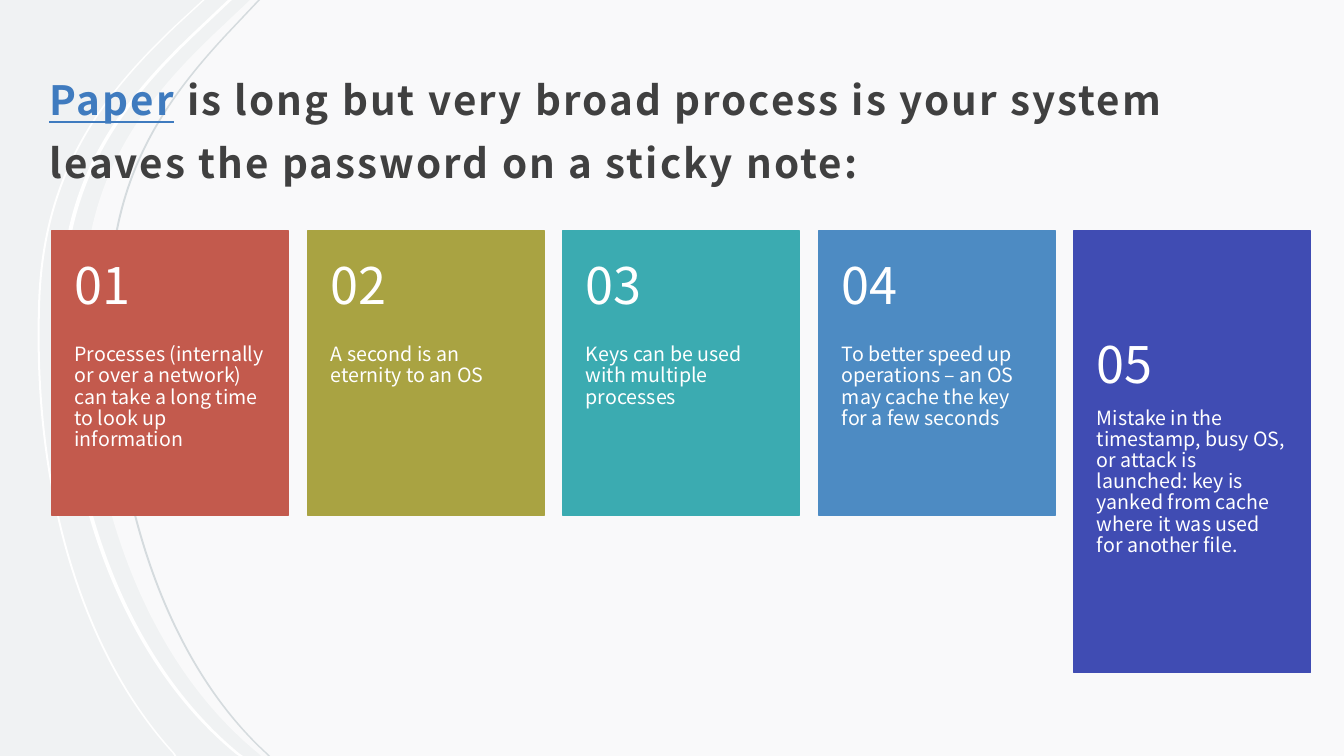
from lxml import etree
from pptx import Presentation, util as u
from pptx.dml import color
from pptx.enum import shapes, text
from pptx.oxml import ns

FONT = "Noto Sans CJK JP"
WIDE, HIGH = 1333, 750
CARDS = [
    ("C35A4D", 282, 0, "Processes (internally or over a network) can take a long time to look up information"),
    ("A9A342", 282, 0, "A second is an eternity to an OS"),
    ("3BABB1", 282, 0, "Keys can be used with multiple processes"),
    ("4D8BC3", 282, 0, "To better speed up operations – an OS may cache the key for a few seconds"),
    ("404CB3", 438, 79, "Mistake in the timestamp, busy OS, or attack is launched: key is yanked "
                        "from cache where it was used for another file."),
]
PANEL = [(248, 0), (211, 35), (139, 104), (83, 179), (83, 304),
         (83, 492), (145, 657), (257, 748), (259, 750)]
STRANDS = [
    ("FFFFFF", 2, [(201, 0), (175, 24), (102, 93), (43, 168), (38, 297),
                   (31, 480), (78, 645), (171, 747), (173, 750)]),
    ("FFFFFF", 4, [(226, 0), (189, 35), (117, 104), (60, 179), (60, 304),
                   (60, 492), (123, 657), (234, 748), (237, 750)]),
    ("D5DBDE", 2, [(256, 0), (223, 35), (159, 104), (108, 179), (108, 304),
                   (108, 492), (164, 657), (264, 748), (266, 750)]),
]


def px(n):
    """Turn px, 100 to the inch, into EMU."""
    return u.Emu(n * 9144)


def paint(form, tone):
    """Fill a colour format or fill with a hex colour."""
    form.solid()
    form.fore_color.rgb = color.RGBColor.from_string(tone)


def draw(slide, knots, bends, tone):
    """Draw a closed outline; each bend is the first of three curve points."""
    pts = [(px(x), px(y)) for x, y in knots]
    pen = slide.shapes.build_freeform(*pts[0], scale=1.0)
    pen.add_line_segments(pts[1:], close=True)
    form = pen.convert_to_shape()
    form.shadow.inherit = False
    paint(form.fill, tone)
    form.line.fill.background()
    steps = list(next(form._element.iter(ns.qn("a:path"))))
    for k in bends:
        curve = etree.Element(ns.qn("a:cubicBezTo"))
        steps[k].addprevious(curve)
        for step in steps[k:k + 3]:
            curve.append(step[0])
            step.getparent().remove(step)
    return form


def scene(slide):
    """Set the background with its pale panel and thin strands."""
    paint(slide.background.fill, "F0F2F3")
    panel = draw(slide, PANEL + [(WIDE, HIGH), (WIDE, 0)], (2, 5), "FFFFFF")
    tint = next(panel._element.iter(ns.qn("a:srgbClr")))
    etree.SubElement(tint, ns.qn("a:alpha"), val="60000")
    for tone, thick, arc in STRANDS:
        back = [(x + thick, y) for x, y in reversed(arc)]
        draw(slide, arc + back, (2, 5, 11, 14), tone)


def setup(frame, pads, anchor, gap):
    """Set insets, wrap, anchor and line spacing; return the paragraph."""
    frame.word_wrap = True
    frame.auto_size = text.MSO_AUTO_SIZE.NONE
    frame.vertical_anchor = anchor
    (frame.margin_left, frame.margin_top,
     frame.margin_right, frame.margin_bottom) = map(px, pads)
    para = frame.paragraphs[0]
    para.alignment = text.PP_ALIGN.LEFT
    para.line_spacing = gap
    return para


def write(para, words, size, tone):
    """Add one run of text."""
    run = para.add_run()
    run.text = words
    run.font.name = FONT
    run.font.size = u.Pt(size)
    run.font.color.rgb = color.RGBColor.from_string(tone)
    return run


def head(slide, x, y, w, h):
    """Place the title."""
    title = slide.shapes.title
    title.left, title.top, title.width, title.height = map(px, (x, y, w, h))
    para = setup(title.text_frame, (12, 12, 12, 10), text.MSO_ANCHOR.BOTTOM, 1.3)
    link = write(para, "Paper", 28.8, "3F7BBF")
    link.font.underline = True
    rest = write(para, " is long but very broad process is your system "
                       "leaves the password on a sticky note:", 28.8, "404040")
    for run in (link, rest):
        run.font.bold = True
        run.font._element.set("spc", "150")


def label(slide, box, pads, anchor, words, size):
    """Place white text in a box."""
    area = slide.shapes.add_textbox(*map(px, box))
    para = setup(area.text_frame, pads, anchor, 0.9)
    write(para, words, size, "FFFFFF")


def card(slide, x, y, w, h, tone, drop, num, words):
    """Place a coloured card with its number and text."""
    rect = slide.shapes.add_shape(shapes.MSO_SHAPE.RECTANGLE, *map(px, (x, y, w, h)))
    rect.shadow.inherit = False
    paint(rect.fill, tone)
    paint(rect.line.fill, tone)
    rect.line.width = u.Pt(1)
    top = (h * 2 + 4) // 5
    label(slide, (x, y + top, w, h - top), (23, 0, 23, 36), text.MSO_ANCHOR.TOP, words, 14)
    label(slide, (x, y + drop, w, 113), (23, 18, 23, 18), text.MSO_ANCHOR.MIDDLE, num, 36)


def main():
    """Build the slide and save it."""
    deck = Presentation()
    deck.slide_width, deck.slide_height = px(WIDE), px(HIGH)
    slide = deck.slides.add_slide(deck.slide_layouts[5])
    scene(slide)
    title = slide.shapes.title._element
    title.getparent().append(title)
    head(slide, 37, 48, 1141, 147)
    for i, (tone, high, drop, words) in enumerate(CARDS):
        card(slide, 51 + (i * 507 + 1) // 2, 229, 235, high, tone, drop, f"{i + 1:02}", words)
    deck.save("out.pptx")


if __name__ == "__main__":
    main()
